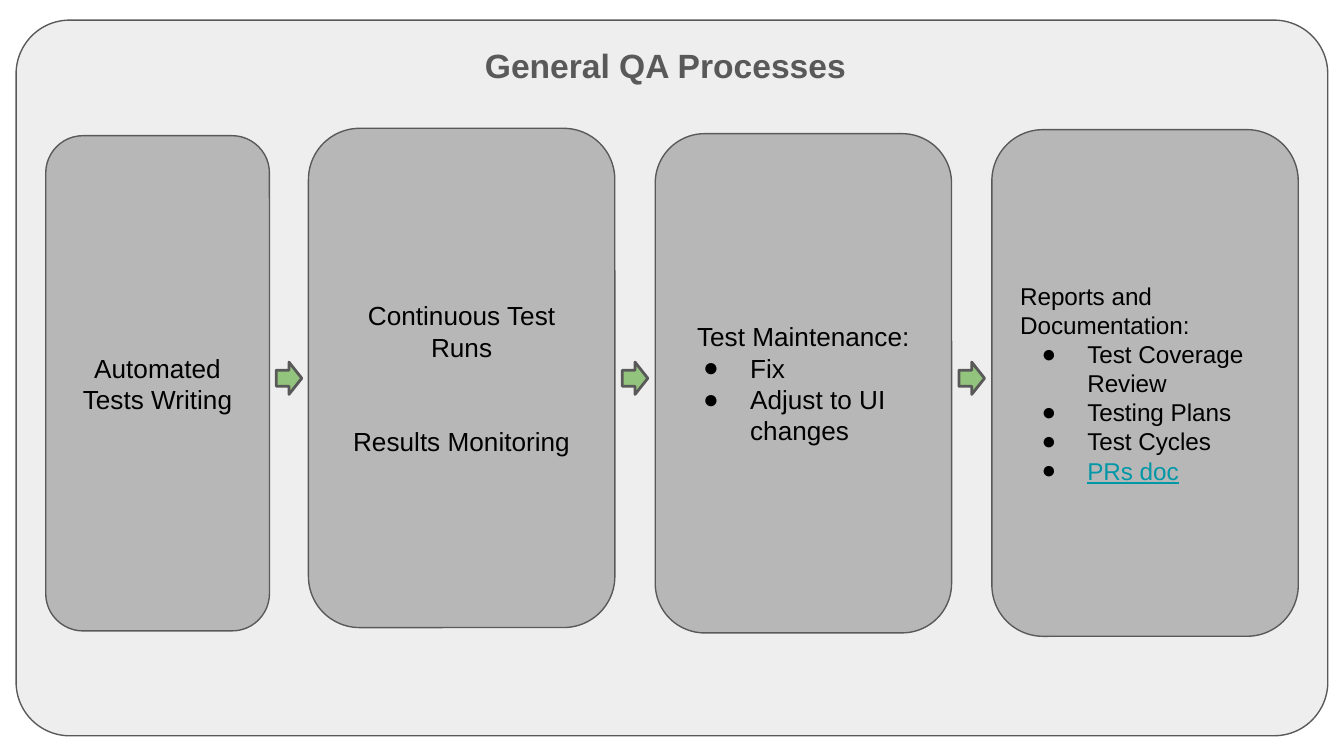
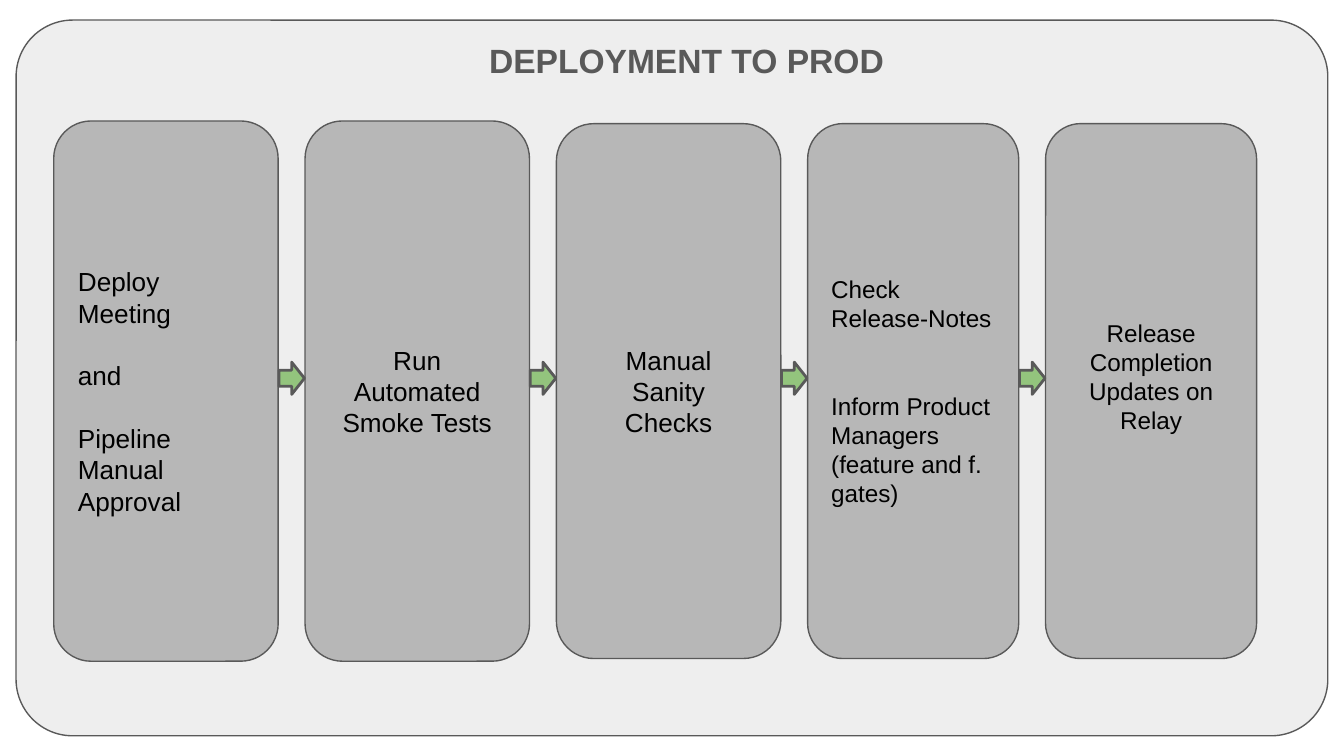
"""Build two process-flow slides: general QA processes and deployment to prod."""
from dataclasses import dataclass

from lxml import etree
from pptx import Presentation
from pptx import util as u
from pptx.dml.color import RGBColor
from pptx.enum import shapes, text
from pptx.oxml import ns


@dataclass
class Theme:
    font: str = "Arial"
    panel: str = "EEEEEE"
    card: str = "B7B7B7"
    arrow: str = "93C47D"
    edge: str = "595959"
    ink: str = "000000"
    link: str = "0097A7"
    title: int = 18
    body: int = 14
    small: int = 13
    thin: float = 0.75
    thick: float = 1.5


@dataclass
class Card:
    box: tuple
    lines: list
    size: int = Theme.body
    left: bool = False
    gap: int = 0
    foot: int = 0
    items: tuple = ()
    hang: int = 70
    link: str = ""


PX = 4572
PAD = 20
LEAD = 1.2
theme = Theme()
kinds = shapes.MSO_SHAPE
align = text.PP_ALIGN

slides = [
    ("General QA Processes", (702, 47, 598, 96), 0.075, [
        Card((68, 202, 333, 737), ["Automated Tests Writing"]),
        Card((459, 191, 456, 743),
             ["Continuous Test Runs", "Results Monitoring"], gap=2),
        Card((975, 199, 441, 743), ["Test Maintenance:"],
             items=("Fix", "Adjust to UI changes")),
        Card((1476, 193, 456, 754), ["Reports and Documentation:"],
             size=theme.small, left=True, hang=68, link="PRs doc",
             items=("Test Coverage Review", "Testing Plans",
                    "Test Cycles", "PRs doc")),
    ]),
    ("DEPLOYMENT TO PROD", (708, 39, 664, 96), 0.079, [
        Card((80, 180, 334, 804),
             ["Deploy Meeting", "and", "Pipeline Manual Approval"],
             left=True, gap=1),
        Card((454, 180, 334, 804), ["Run", "Automated", "Smoke Tests"]),
        Card((828, 184, 334, 796), ["Manual", "Sanity", "Checks"]),
        Card((1202, 184, 314, 796),
             ["Check Release-Notes",
              "Inform Product Managers (feature and f. gates)"],
             size=theme.small, left=True, gap=2),
        Card((1556, 184, 314, 796),
             ["Release Completion", "Updates on Relay"],
             size=theme.small, foot=1),
    ]),
]


def draw(page, kind, box, fill, width, *adjust):
    """Add an outlined preset shape."""
    shape = page.shapes.add_shape(kind, *(n * PX for n in box))
    shape.shadow.inherit = False
    shape.fill.solid()
    shape.fill.fore_color.rgb = RGBColor.from_string(fill)
    shape.line.color.rgb = RGBColor.from_string(theme.edge)
    shape.line.width = u.Pt(width)
    for index, value in enumerate(adjust):
        shape.adjustments[index] = value
    return shape


def write(shape, lines, size, color, side, bold=False):
    """Fill a shape with one paragraph per line and return its paragraphs."""
    frame = shape.text_frame
    frame.word_wrap = True
    frame.margin_left = frame.margin_right = PAD * PX
    frame.margin_top = frame.margin_bottom = PAD * PX
    frame.text = "\n".join(lines)
    for para in frame.paragraphs:
        para.alignment = side
        para.font.name = theme.font
        para.font.size = u.Pt(size)
        para.font.bold = bold
        para.font.color.rgb = RGBColor.from_string(color)
    return frame.paragraphs


deck = Presentation()
deck.slide_width = 2000 * PX
deck.slide_height = 1125 * PX

for title, place, curve, cards in slides:
    page = deck.slides.add_slide(deck.slide_layouts[6])
    draw(page, kinds.ROUNDED_RECTANGLE, (24, 30, 1952, 1065),
         theme.panel, theme.thin, curve)
    head = page.shapes.add_textbox(*(n * PX for n in place))
    write(head, [title], theme.title, theme.edge, align.LEFT, True)

    for card in cards:
        shape = draw(page, kinds.ROUNDED_RECTANGLE, card.box,
                     theme.card, theme.thin, 0.167)
        side = align.LEFT if card.left else align.CENTER
        lead = card.lines if card.gap else ["\v".join(card.lines)]
        paras = write(shape, [*lead, *card.items],
                      card.size, theme.ink, side)
        frame = shape.text_frame
        frame.vertical_anchor = text.MSO_ANCHOR.MIDDLE
        frame.margin_bottom += u.Pt(card.foot * card.size * LEAD)
        count = len(lead)
        for para in paras[1:count]:
            para.space_before = u.Pt(card.gap * card.size * LEAD)
        for para in paras[count:]:
            para.alignment = align.LEFT
            props = para._p.get_or_add_pPr()
            props.set("marL", str(100 * PX))
            props.set("indent", str(-card.hang * PX))
            tint = etree.Element(ns.qn("a:buClr"))
            etree.SubElement(tint, ns.qn("a:srgbClr"), val=theme.ink)
            face = etree.Element(ns.qn("a:buFont"), typeface=theme.font)
            mark = etree.Element(ns.qn("a:buChar"), char="●")
            for spot, part in enumerate((tint, face, mark)):
                props.insert(spot, part)
            if para.text == card.link:
                font = para.runs[0].font
                font.underline = True
                font.color.rgb = RGBColor.from_string(theme.link)

    for card, after in zip(cards, cards[1:]):
        right = card.box[0] + card.box[2]
        start = right + (after.box[0] - right - 38) // 2
        draw(page, kinds.RIGHT_ARROW, (start, 539, 38, 48),
             theme.arrow, theme.thick, 0.5, 0.5)

deck.save("out.pptx")
